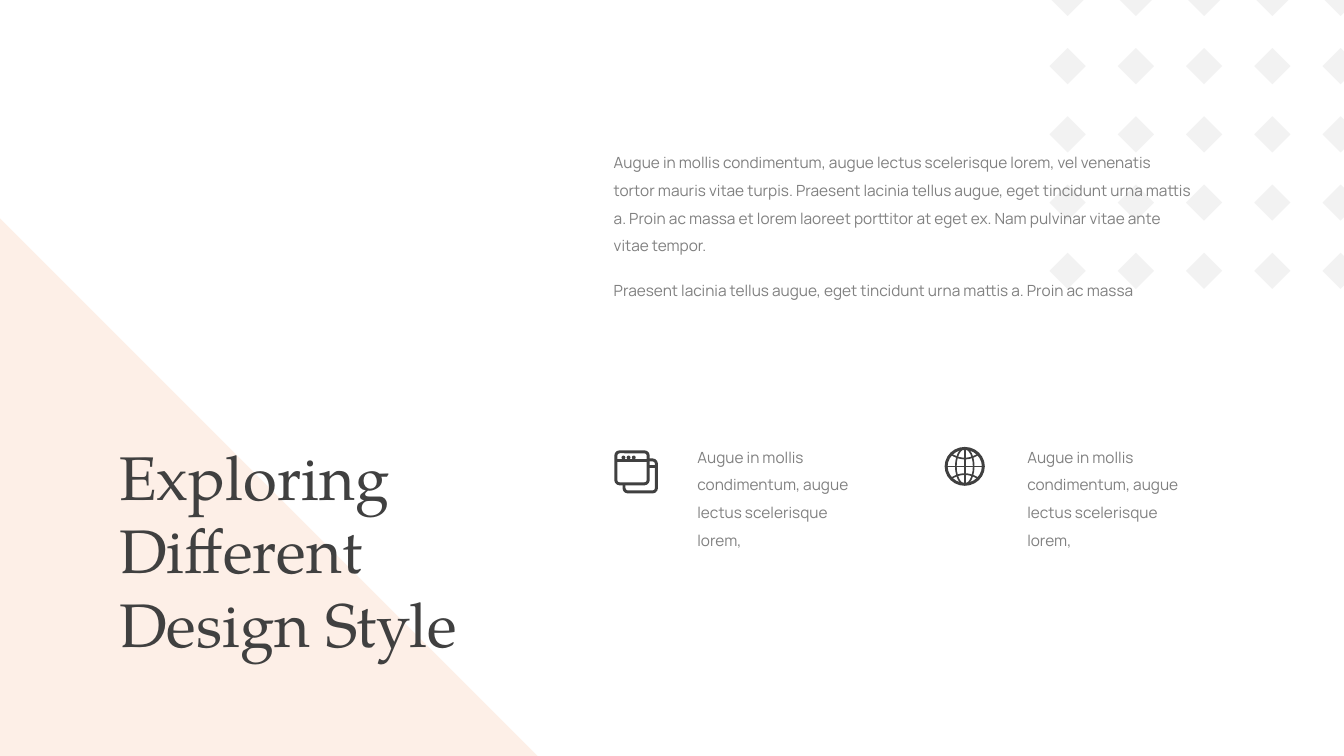
from dataclasses import dataclass

from lxml import etree
from pptx import Presentation
from pptx import util as u
from pptx.dml.color import RGBColor
from pptx.enum import shapes, text
from pptx.oxml import ns

CELL = u.Inches(1) / 12
COLUMNS, ROWS = 160, 90


@dataclass(frozen=True)
class Theme:
    """Colours, fonts and sizes used on the slide."""
    peach: str = "FDEFE6"
    pale: str = "F2F2F2"
    dark: str = "404040"
    grey: str = "808080"
    white: str = "FFFFFF"
    title_font: str = "TeX Gyre Pagella"
    body_font: str = "Manrope"
    title_size: int = 44
    body_size: int = 11
    leading: float = 1.5
    thick: float = 2.1
    thin: float = 1.2


@dataclass(frozen=True)
class Box:
    """A rectangle measured in grid columns and rows."""
    left: float
    top: float
    width: float
    height: float

    def inner(self, left, top, width, height):
        """Return the inner box given by shares of this one."""
        return Box(self.left + left * self.width, self.top + top * self.height,
                   width * self.width, height * self.height)

    def point(self, across, down):
        """Return the slide position of a point given by shares."""
        return (round((self.left + across * self.width) * CELL),
                round((self.top + down * self.height) * CELL))

    def frame(self):
        """Return left, top, width and height as slide lengths."""
        return [round(cells * CELL) for cells in
                (self.left, self.top, self.width, self.height)]


THEME = Theme()


def colour(code):
    """Turn a hex code into a colour."""
    return RGBColor.from_string(code)


def paint(shape, fill=None, line=None, weight=0):
    """Set fill and outline, and remove the shadow."""
    shape.shadow.inherit = False
    if fill:
        shape.fill.solid()
        shape.fill.fore_color.rgb = colour(fill)
    else:
        shape.fill.background()
    if line:
        shape.line.color.rgb = colour(line)
        shape.line.width = u.Pt(weight)
    else:
        shape.line.fill.background()


def add_preset(parent, kind, box, **style):
    """Add a painted preset shape in the box."""
    shape = parent.shapes.add_shape(kind, *box.frame())
    paint(shape, **style)
    return shape


def add_rule(parent, box, start, end, weight):
    """Draw a straight dark line between two points of the box."""
    rule = parent.shapes.add_connector(
        shapes.MSO_CONNECTOR.STRAIGHT, *box.point(*start), *box.point(*end))
    rule.line.color.rgb = colour(THEME.dark)
    rule.line.width = u.Pt(weight)
    etree.SubElement(rule.element.spPr, ns.qn("a:effectLst"))


def add_corner(page, box):
    """Fill the lower left corner with a translucent triangle."""
    triangle = add_preset(page, shapes.MSO_SHAPE.RIGHT_TRIANGLE, box, fill=THEME.peach)
    tint = triangle.element.spPr.find(".//" + ns.qn("a:srgbClr"))
    etree.SubElement(tint, ns.qn("a:alpha")).set("val", "95000")


def add_diamonds(page, box, count=5, size=4.3):
    """Spread a square pattern of diamonds over the box."""
    pattern = page.shapes.add_group_shape()
    across = (box.width - size) / (count - 1)
    down = (box.height - size) / (count - 1)
    for row in range(count):
        for column in range(count):
            place = Box(box.left + column * across, box.top + row * down, size, size)
            add_preset(pattern, shapes.MSO_SHAPE.DIAMOND, place, fill=THEME.pale)


def add_globe(page, box):
    """Draw a globe with an equator, meridians and two parallels."""
    globe = page.shapes.add_group_shape()
    thin = {"line": THEME.dark, "weight": THEME.thin}
    oval = shapes.MSO_SHAPE.OVAL
    add_preset(globe, oval, box.inner(0.04, 0.04, 0.92, 0.92),
               line=THEME.dark, weight=THEME.thick)
    add_preset(globe, oval, box.inner(0.28, 0.04, 0.44, 0.92), **thin)
    add_rule(globe, box, (0.5, 0.04), (0.5, 0.96), THEME.thin)
    add_rule(globe, box, (0.04, 0.5), (0.96, 0.5), THEME.thin)
    steps = [step / 10 for step in range(-10, 11)]
    for side in (-1, 1):
        points = [box.point(0.5 + 0.32 * step, 0.5 + side * (0.2 + 0.1 * step ** 2))
                  for step in steps]
        builder = globe.shapes.build_freeform(*points[0])
        builder.add_line_segments(points[1:], close=False)
        paint(builder.convert_to_shape(), **thin)


def add_windows(page, box):
    """Draw two overlapping browser windows."""
    windows = page.shapes.add_group_shape()
    for offset, bar in ((0.22, 0.22), (0.03, 0.28)):
        window = box.inner(offset, offset, 0.75, 0.75)
        frame = add_preset(windows, shapes.MSO_SHAPE.ROUNDED_RECTANGLE, window,
                           fill=THEME.white, line=THEME.dark, weight=THEME.thick)
        frame.adjustments[0] = 0.12
        add_rule(windows, window, (0, bar), (1, bar), THEME.thick)
    for dot in range(3):
        add_preset(windows, shapes.MSO_SHAPE.OVAL,
                   box.inner(0.16 + 0.12 * dot, 0.12, 0.09, 0.09), fill=THEME.dark)


def add_text(page, box, words):
    """Add a wrapped grey paragraph in the box."""
    frame = page.shapes.add_textbox(*box.frame()).text_frame
    frame.word_wrap = True
    frame.auto_size = text.MSO_AUTO_SIZE.SHAPE_TO_FIT_TEXT
    para = frame.paragraphs[0]
    para.text = words
    para.line_spacing = THEME.leading
    para.font.name = THEME.body_font
    para.font.size = u.Pt(THEME.body_size)
    para.font.color.rgb = colour(THEME.grey)


def add_feature(page, box, draw_icon, icon, words):
    """Place an icon at the left of the box and its text at the right."""
    draw_icon(page, box.inner(*icon))
    add_text(page, box.inner(0.31, 0, 0.69, 1), words)


def place_title(page, box, words):
    """Move the title into the box, format it and bring it to the front."""
    title = page.shapes.title
    title.left, title.top, title.width, title.height = box.frame()
    frame = title.text_frame
    frame.word_wrap = True
    frame.auto_size = text.MSO_AUTO_SIZE.NONE
    frame.vertical_anchor = text.MSO_ANCHOR.TOP
    para = frame.paragraphs[0]
    para.text = words
    para.alignment = text.PP_ALIGN.LEFT
    para.font.name = THEME.title_font
    para.font.size = u.Pt(THEME.title_size)
    para.font.color.rgb = colour(THEME.dark)
    title.element.getparent().append(title.element)


def build_design_slide(deck):
    """Build the slide about design styles."""
    page = deck.slides.add_slide(deck.slide_layouts[5])
    add_corner(page, Box(0, 26, 64, 64))
    feature = "Augue in mollis condimentum, augue lectus scelerisque lorem,"
    add_feature(page, Box(111.16, 51.6, 32.12, 14.52), add_globe,
                (0.04, 0.11, 0.15, 0.32), feature)
    add_feature(page, Box(71.88, 51.6, 32.12, 14.52), add_windows,
                (0.04, 0.14, 0.16, 0.35), feature)
    add_diamonds(page, Box(124.95, -2.4, 36.8, 36.8))
    add_text(page, Box(71.88, 16.56, 71.4, 14.52),
             "Augue in mollis condimentum, augue lectus scelerisque lorem, vel venenatis "
             "tortor mauris vitae turpis. Praesent lacinia tellus augue, eget tincidunt "
             "urna mattis a. Proin ac massa et lorem laoreet porttitor at eget ex. Nam "
             "pulvinar vitae ante vitae tempor.")
    add_text(page, Box(71.88, 31.8, 71.4, 4.56),
             "Praesent lacinia tellus augue, eget tincidunt urna mattis a. Proin ac massa")
    place_title(page, Box(13, 51.6, 52.56, 27.84), "Exploring Different Design Style")


def main():
    """Create and save the deck."""
    deck = Presentation()
    deck.slide_width = round(COLUMNS * CELL)
    deck.slide_height = round(ROWS * CELL)
    build_design_slide(deck)
    deck.save("out.pptx")


if __name__ == "__main__":
    main()
